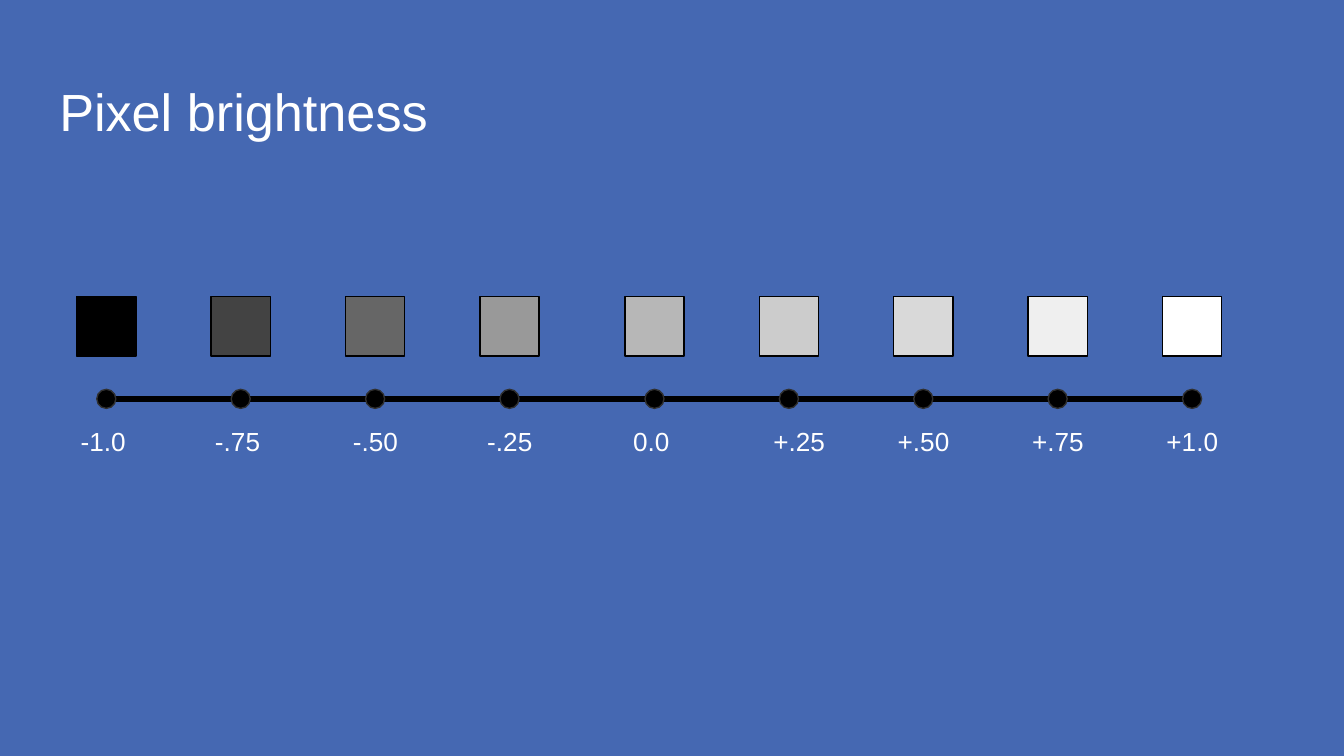
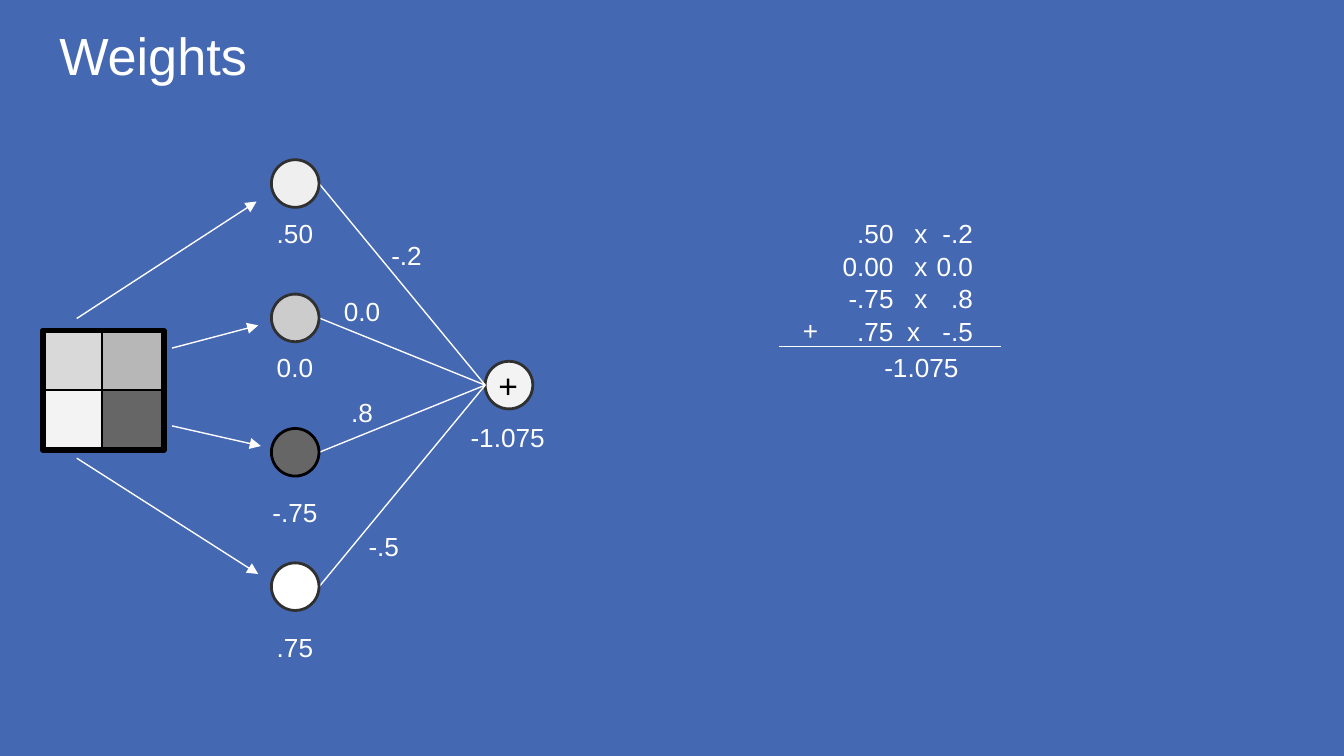
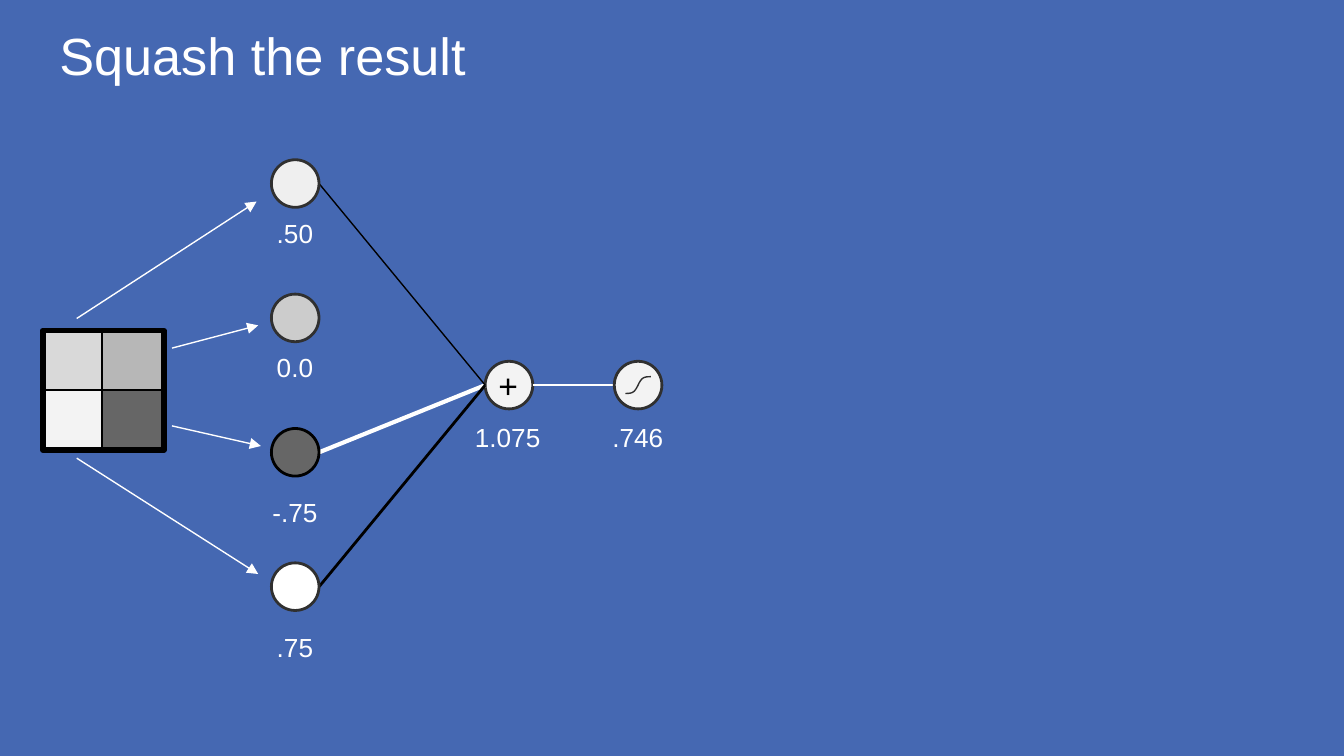
import math

from lxml import etree
from pptx import Presentation
from pptx.dml.color import RGBColor
from pptx.enum.shapes import MSO_CONNECTOR, MSO_SHAPE
from pptx.enum.text import MSO_ANCHOR, MSO_AUTO_SIZE, PP_ALIGN
from pptx.oxml.ns import qn
from pptx.util import Cm, Pt

STRAIGHT = MSO_CONNECTOR.STRAIGHT
SQUARE, CIRCLE = MSO_SHAPE.RECTANGLE, MSO_SHAPE.OVAL
LEFT, CENTER, RIGHT = PP_ALIGN.LEFT, PP_ALIGN.CENTER, PP_ALIGN.RIGHT
TOP = MSO_ANCHOR.TOP
NO_AUTOFIT = MSO_AUTO_SIZE.NONE

BLUE = RGBColor(0x45, 0x68, 0xB2)
WHITE = RGBColor(0xFF, 0xFF, 0xFF)
BLACK = RGBColor(0x00, 0x00, 0x00)
CHARCOAL = RGBColor(0x30, 0x30, 0x30)
GRAY_26 = RGBColor(0x43, 0x43, 0x43)
GRAY_40 = RGBColor(0x66, 0x66, 0x66)
GRAY_60 = RGBColor(0x99, 0x99, 0x99)
GRAY_72 = RGBColor(0xB7, 0xB7, 0xB7)
GRAY_80 = RGBColor(0xCC, 0xCC, 0xCC)
GRAY_85 = RGBColor(0xD9, 0xD9, 0xD9)
GRAY_94 = RGBColor(0xEF, 0xEF, 0xEF)
GRAY_95 = RGBColor(0xF3, 0xF3, 0xF3)

FONT = "Arial"
PITCH = 2.54
NODE = 0.9
NODE_LEFT = 5.13
NODE_TOP = 3.02
SUM_LEFT = 9.17
SUM_TOP = 6.83
SUM_MIDDLE = SUM_TOP + NODE / 2
SQUASH_LEFT = 11.61


class Deck:
    def __init__(self):
        self.prs = Presentation()
        self.prs.slide_width = Cm(25.4)
        self.prs.slide_height = Cm(14.29)
        fill = self.prs.slide_master.background.fill
        fill.solid()
        fill.fore_color.rgb = BLUE
        self.slide = None

    def new_slide(self, title, top):
        self.slide = self.prs.slides.add_slide(self.prs.slide_layouts[5])
        heading = self.slide.shapes.title
        heading.left, heading.top = Cm(0.87), Cm(top)
        heading.width, heading.height = Cm(23.67), Cm(1.6)
        self.set_text(heading, title, LEFT, 28, WHITE)

    def set_text(self, holder, words, align, size, color):
        frame = holder.text_frame
        frame.text = words
        frame.word_wrap = True
        frame.auto_size = NO_AUTOFIT
        frame.vertical_anchor = TOP
        frame.margin_left = frame.margin_right = Cm(0.25)
        frame.margin_top = frame.margin_bottom = Cm(0.25)
        for paragraph in frame.paragraphs:
            paragraph.alignment = align
            for run in paragraph.runs:
                run.font.name = FONT
                run.font.size = Pt(size)
                run.font.color.rgb = color

    def text(self, words, left, top, width=2.01, height=1.24,
             align=CENTER, size=14, color=WHITE):
        box = self.slide.shapes.add_textbox(Cm(left), Cm(top), Cm(width), Cm(height))
        self.set_text(box, words, align, size, color)
        return box

    def column(self, rows, left):
        box = self.text("\n".join(rows), left, 3.86, width=3.12, align=RIGHT)
        for paragraph in box.text_frame.paragraphs:
            paragraph.space_after = Pt(0.7)
        return box.text_frame.paragraphs

    def bullet(self, paragraph, sign):
        props = paragraph._p.get_or_add_pPr()
        props.set("marL", str(Cm(1.27)))
        props.set("indent", str(-Cm(0.89)))
        color = etree.SubElement(props, qn("a:buClr"))
        etree.SubElement(color, qn("a:srgbClr"), val=str(WHITE))
        etree.SubElement(props, qn("a:buFont"), typeface=FONT)
        etree.SubElement(props, qn("a:buChar"), char=sign)

    def shape(self, kind, left, top, width, height, fill, line, weight):
        form = self.slide.shapes.add_shape(kind, Cm(left), Cm(top), Cm(width), Cm(height))
        form.shadow.inherit = False
        if fill is None:
            form.fill.background()
        else:
            form.fill.solid()
            form.fill.fore_color.rgb = fill
        form.line.color.rgb = line
        form.line.width = Pt(weight)

    def pixel(self, left, top, fill, side):
        self.shape(SQUARE, left, top, side, side, fill, BLACK, 0.75)

    def node(self, left, top, fill, line=CHARCOAL):
        self.shape(CIRCLE, left, top, NODE, NODE, fill, line, 1.5)

    def line(self, x1, y1, x2, y2, color=WHITE, weight=0.75, arrow=False):
        wire = self.slide.shapes.add_connector(STRAIGHT, Cm(x1), Cm(y1), Cm(x2), Cm(y2))
        wire.line.color.rgb = color
        wire.line.width = Pt(weight)
        if arrow:
            etree.SubElement(wire.line._ln, qn("a:tailEnd"), type="triangle")
        etree.SubElement(wire._element.spPr, qn("a:effectLst"))

    def sigmoid(self, center_x, center_y, half_width, half_height):
        steps = [i / 12 for i in range(-12, 13)]
        points = [(Cm(center_x + half_width * t),
                   Cm(center_y - half_height * math.tanh(3 * t))) for t in steps]
        builder = self.slide.shapes.build_freeform(*points[0])
        builder.add_line_segments(points[1:], close=False)
        curve = builder.convert_to_shape()
        curve.shadow.inherit = False
        curve.fill.background()
        curve.line.color.rgb = CHARCOAL
        curve.line.width = Pt(0.75)

    def wire(self, row, color=WHITE, weight=0.75):
        self.line(NODE_LEFT + NODE, NODE_TOP + NODE / 2 + row * PITCH,
                  SUM_LEFT, SUM_MIDDLE, color, weight)

    def network(self, wires, total):
        image = ((GRAY_85, GRAY_72), (GRAY_95, GRAY_40))
        for row, shades in enumerate(image):
            for col, shade in enumerate(shades):
                self.pixel(0.81 + col * 1.12, 6.25 + row * 1.12, shade, 1.12)
        self.shape(SQUARE, 0.81, 6.25, 2.29, 2.26, None, BLACK, 3)

        arrows = ((1.45, 6.02, 4.85, 3.81), (3.25, 6.58, 4.88, 6.15),
                  (3.25, 8.05, 4.93, 8.43), (1.45, 8.66, 4.88, 10.85))
        for ends in arrows:
            self.line(*ends, arrow=True)

        self.node(SUM_LEFT, SUM_TOP, GRAY_95)
        for row, color, weight in wires:
            self.wire(row, color, weight)
        self.text("+", SUM_LEFT, 6.65, NODE, 1.27, LEFT, 18, BLACK)
        self.text(total, 8.59, 7.72)

        inputs = ((GRAY_94, CHARCOAL, ".50", 3.86), (GRAY_80, CHARCOAL, "0.0", 6.4),
                  (GRAY_40, BLACK, "-.75", 9.14), (WHITE, CHARCOAL, ".75", 11.68))
        for row, (shade, outline, value, value_top) in enumerate(inputs):
            self.node(NODE_LEFT, NODE_TOP + row * PITCH, shade, outline)
            self.text(value, 4.57, value_top)


def brightness_slide(deck):
    deck.new_slide("Pixel brightness", 1.24)
    deck.line(2.18, 7.54, 22.58, 7.54, BLACK, 3)
    scale = ((BLACK, "-1.0", 1.42), (GRAY_26, "-.75", 1.42), (GRAY_40, "-.50", 1.55),
             (GRAY_60, "-.25", 1.55), (GRAY_72, "0.0", 1.42), (GRAY_80, "+.25", 1.93),
             (GRAY_85, "+.50", 1.55), (GRAY_94, "+.75", 1.55), (WHITE, "+1.0", 1.55))
    for step, (shade, value, value_width) in enumerate(scale):
        offset = step * PITCH + (0.2 if step >= 4 else 0)
        deck.pixel(1.45 + offset, 5.61, shade, 1.12)
        deck.shape(CIRCLE, 1.83 + offset, 7.36, 0.36, 0.36, BLACK, CHARCOAL, 0.75)
        deck.text(value, 1.24 + offset, 7.8, value_width, 1.12)


def weights_slide(deck):
    deck.new_slide("Weights", 0.18)
    deck.network([(row, WHITE, 0.75) for row in range(4)], "-1.075")
    weights = (("-.2", 6.68, 4.27), ("0.0", 5.84, 5.33),
               (".8", 5.84, 7.24), ("-.5", 6.25, 9.78))
    for weight, left, top in weights:
        deck.text(weight, left, top)

    values = deck.column((".50", "0.00", "-.75", " .75"), 14.02)
    deck.bullet(values[-1], "+")
    deck.column(("x", "x", "x", "x "), 14.66)
    deck.column(("-.2", "0.0", ".8", "-.5"), 15.52)
    deck.line(14.73, 6.55, 18.92, 6.55)
    deck.text("-1.075", 16.41, 6.4)


def squash_slide(deck):
    deck.new_slide("Squash the result", 0.18)
    deck.network(((2, WHITE, 2.25), (3, BLACK, 1.5), (0, BLACK, 0.75)), "1.075")
    deck.line(SUM_LEFT + NODE, SUM_MIDDLE, SQUASH_LEFT, SUM_MIDDLE)
    deck.node(SQUASH_LEFT, SUM_TOP, GRAY_95)
    deck.sigmoid(SQUASH_LEFT + NODE / 2, SUM_MIDDLE, 0.24, 0.16)
    deck.text(".746", 11.05, 7.72)


deck = Deck()
brightness_slide(deck)
weights_slide(deck)
squash_slide(deck)
deck.prs.save("out.pptx")
